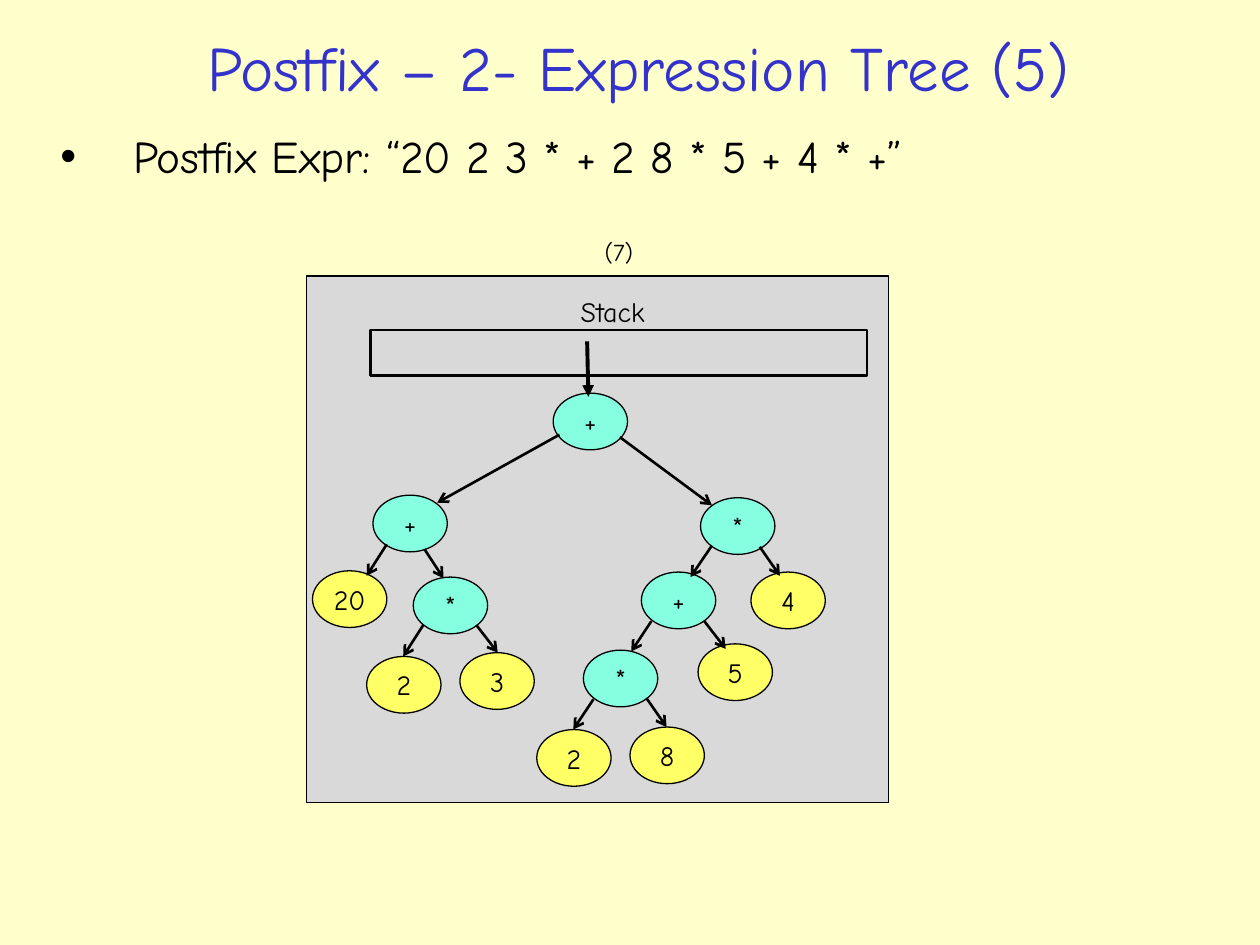
import dataclasses
import typing

import lxml.etree
import pptx
import pptx.dml.color
import pptx.enum.shapes
import pptx.enum.text
import pptx.oxml.ns
import pptx.util

Inches = pptx.util.Inches
Pt = pptx.util.Pt
Shapes = pptx.enum.shapes.MSO_SHAPE
Align = pptx.enum.text.PP_ALIGN
Anchor = pptx.enum.text.MSO_ANCHOR
AutoSize = pptx.enum.text.MSO_AUTO_SIZE
Point = tuple[float, float]


@dataclasses.dataclass(frozen=True)
class Theme:
    font: str = "Comic Neue"
    page: str = "FFFFCC"
    title: str = "3333CC"
    ink: str = "000000"
    panel: str = "D9D9D9"
    operator: str = "85FFE0"
    operand: str = "FFFF66"
    title_size: float = 36
    body_size: float = 25.9
    node_size: float = 16
    step_size: float = 14
    outline: float = 0.75
    edge: float = 1.5
    pointer: float = 2.25


class Area(typing.NamedTuple):
    left: float
    top: float
    width: float
    height: float


class Node(typing.NamedTuple):
    symbol: str
    left: float
    top: float
    edge_start: Point
    edge_end: Point


THEME = Theme()
NODE_WIDTH, NODE_HEIGHT = 0.59, 0.45
ROOT = Node("+", 4.39, 3.12, (4.66, 2.71), (4.67, 3.15))
DESCENDANTS = [
    Node("+", 2.96, 3.93, (4.44, 3.45), (3.47, 3.99)),
    Node("*", 5.56, 3.95, (4.92, 3.47), (5.65, 4.01)),
    Node("20", 2.48, 4.53, (3.07, 4.32), (2.91, 4.57)),
    Node("*", 3.28, 4.58, (3.37, 4.36), (3.52, 4.59)),
    Node("2", 2.91, 5.21, (3.36, 4.96), (3.20, 5.21)),
    Node("3", 3.65, 5.18, (3.78, 4.96), (3.95, 5.18)),
    Node("+", 5.09, 4.54, (5.65, 4.33), (5.48, 4.58)),
    Node("4", 5.96, 4.54, (6.03, 4.34), (6.19, 4.57)),
    Node("*", 4.63, 5.16, (5.17, 4.93), (5.01, 5.17)),
    Node("5", 5.54, 5.11, (5.59, 4.93), (5.76, 5.15)),
    Node("2", 4.26, 5.79, (4.71, 5.55), (4.55, 5.79)),
    Node("8", 5.00, 5.77, (5.13, 5.54), (5.29, 5.77)),
]


def rgb(color: str) -> pptx.dml.color.RGBColor:
    return pptx.dml.color.RGBColor.from_string(color)


def apply(target: typing.Any, values: dict[str, typing.Any]) -> None:
    for name, value in values.items():
        setattr(target, name, value)


def add_child(parent: typing.Any, tag: str, **attributes: str) -> typing.Any:
    return lxml.etree.SubElement(parent, pptx.oxml.ns.qn(tag), attributes)


def write(box: typing.Any, text: str, size: float, color: str = THEME.ink,
          align: Align = Align.LEFT, **frame_values: typing.Any) -> typing.Any:
    apply(box.text_frame, {"word_wrap": False, **frame_values})
    para = box.text_frame.paragraphs[0]
    para.alignment = align
    span = para.add_run()
    span.text = text
    apply(span.font, {"name": THEME.font, "size": Pt(size)})
    span.font.color.rgb = rgb(color)
    return para


def add_text(page: typing.Any, area: Area, text: str, size: float,
             **values: typing.Any) -> typing.Any:
    box = page.shapes.add_textbox(*map(Inches, area))
    return write(box, text, size, **values)


def add_label(page: typing.Any, area: Area, text: str, size: float) -> None:
    add_text(page, area, text, size, auto_size=AutoSize.SHAPE_TO_FIT_TEXT)


def add_bullet(para: typing.Any, indent: float) -> None:
    properties = para._p.get_or_add_pPr()
    properties.set("marL", str(Inches(indent)))
    properties.set("indent", str(-Inches(indent)))
    add_child(add_child(properties, "a:buClr"), "a:srgbClr", val=THEME.ink)
    add_child(properties, "a:buFont", typeface="Arial")
    add_child(properties, "a:buChar", char="•")


def add_outlined(page: typing.Any, kind: Shapes, area: Area,
                 fill: str | None, width: float) -> typing.Any:
    shape = page.shapes.add_shape(kind, *map(Inches, area))
    shape.shadow.inherit = False
    if fill:
        shape.fill.solid()
        shape.fill.fore_color.rgb = rgb(fill)
    else:
        shape.fill.background()
    shape.line.color.rgb = rgb(THEME.ink)
    shape.line.width = Pt(width)
    return shape


def add_node(page: typing.Any, node: Node) -> None:
    fill = THEME.operator if node.symbol in "+*" else THEME.operand
    area = Area(node.left, node.top, NODE_WIDTH, NODE_HEIGHT)
    ellipse = add_outlined(page, Shapes.OVAL, area, fill, THEME.outline)
    write(ellipse, node.symbol, THEME.node_size, align=Align.CENTER,
          vertical_anchor=Anchor.MIDDLE)


def add_arrow(page: typing.Any, node: Node, width: float, head: str) -> None:
    arrow = page.shapes.add_connector(
        pptx.enum.shapes.MSO_CONNECTOR.STRAIGHT,
        *map(Inches, node.edge_start + node.edge_end))
    arrow.line.color.rgb = rgb(THEME.ink)
    arrow.line.width = Pt(width)
    add_child(arrow.line._get_or_add_ln(), "a:tailEnd", type=head)
    add_child(arrow._element.spPr, "a:effectLst")


def main() -> None:
    deck = pptx.Presentation()
    apply(deck, {"slide_width": Inches(10), "slide_height": Inches(7.5)})
    page = deck.slides.add_slide(deck.slide_layouts[6])
    page.background.fill.solid()
    page.background.fill.fore_color.rgb = rgb(THEME.page)

    add_text(page, Area(0.3, 0.15, 9.54, 0.76), "Postfix – 2- Expression Tree (5)",
             THEME.title_size, color=THEME.title, align=Align.CENTER,
             vertical_anchor=Anchor.MIDDLE, word_wrap=True)
    expression = add_text(page, Area(0.38, 0.97, 9.21, 0.53),
                          "Postfix Expr: “20 2 3 * + 2 8 * 5 + 4 * +”",
                          THEME.body_size, word_wrap=True)
    add_bullet(expression, 0.58)

    add_outlined(page, Shapes.RECTANGLE, Area(2.43, 2.19, 4.62, 4.18),
                 THEME.panel, THEME.outline)
    add_outlined(page, Shapes.RECTANGLE, Area(2.94, 2.62, 3.94, 0.36), None, THEME.edge)
    add_label(page, Area(4.51, 2.29, 0.71, 0.37), "Stack", THEME.node_size)
    add_label(page, Area(4.7, 1.83, 0.43, 0.34), "(7)", THEME.step_size)

    for node in [ROOT, *DESCENDANTS]:
        add_node(page, node)
    add_arrow(page, ROOT, THEME.pointer, "triangle")
    for node in DESCENDANTS:
        add_arrow(page, node, THEME.edge, "arrow")

    deck.save("out.pptx")


if __name__ == "__main__":
    main()
